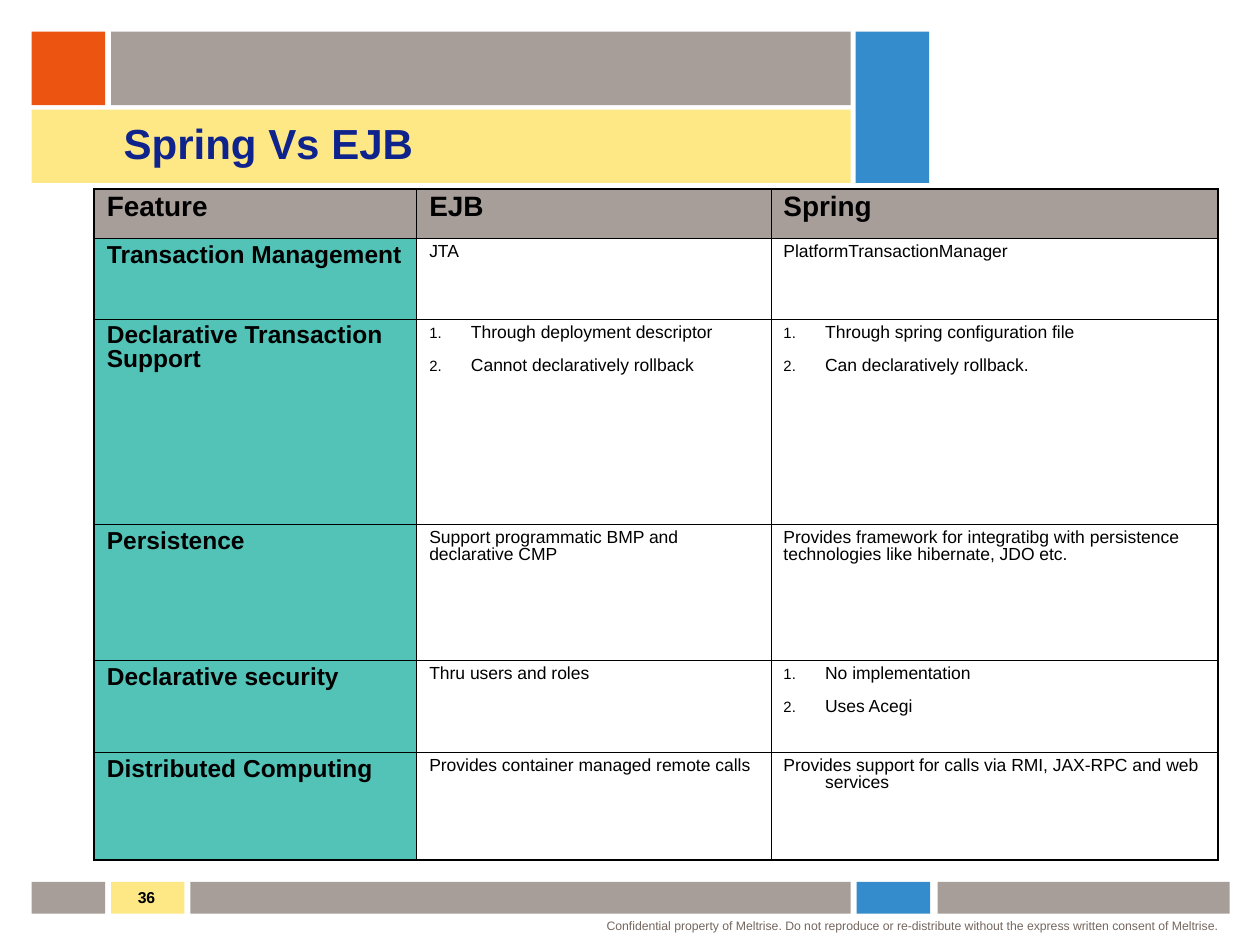
"""Build the Spring Vs EJB comparison slide."""
import pptx
import pptx.dml.color
import pptx.enum.shapes
import pptx.enum.text
import pptx.oxml
import pptx.oxml.ns
import pptx.util
from pptx.util import Cm, Pt


class Theme:
    font = "Arial"
    orange, gray, blue = "EB5411", "A79E99", "348CCC"
    yellow, teal, navy = "FEE886", "53C3B8", "0F238C"
    black, notice = "000000", "74675F"
    title_size, header_size, feature_size, detail_size = 24, 16, 14, 10
    number_size, notice_size = 9, 7
    header_gap, feature_gap, detail_gap = 15, 13.1, 9.4
    line_spacing = 0.85
    outer_line, inner_line = 1.08, 0.45


def format_text(paragraph, size, color, bold=False):
    for run in paragraph.runs:
        run.font.name = Theme.font
        run.font.size = Pt(size)
        run.font.bold = bold
        run.font.color.rgb = pptx.dml.color.RGBColor.from_string(color)


def add_xml(parent, markup):
    namespace = pptx.oxml.ns.nsdecls("a")
    tag, rest = markup[1:].split(" ", 1)
    parent.append(pptx.oxml.parse_xml(f"<{tag} {namespace} {rest}"))


deck = pptx.Presentation()
deck.slide_width, deck.slide_height = Cm(25.4), Cm(19.05)
slide = deck.slides.add_slide(deck.slide_layouts[5])

bands = [
    (0.64, 0.64, 1.48, 1.48, Theme.orange),
    (2.24, 0.64, 14.91, 1.48, Theme.gray),
    (17.25, 0.64, 1.48, 3.05, Theme.blue),
    (0.64, 2.21, 16.51, 1.48, Theme.yellow),
    (0.64, 17.78, 1.48, 0.64, Theme.gray),
    (2.24, 17.78, 1.48, 0.64, Theme.yellow),
    (3.84, 17.78, 13.31, 0.64, Theme.gray),
    (17.27, 17.78, 1.48, 0.64, Theme.blue),
    (18.9, 17.78, 5.89, 0.64, Theme.gray),
]
for left, top, width, height, color in bands:
    band = slide.shapes.add_shape(
        pptx.enum.shapes.MSO_SHAPE.RECTANGLE, Cm(left), Cm(top), Cm(width), Cm(height))
    band.shadow.inherit = False
    band.fill.solid()
    band.fill.fore_color.rgb = pptx.dml.color.RGBColor.from_string(color)
    band.line.fill.background()

notice = slide.shapes.add_textbox(Cm(12.19), Cm(18.52), Cm(12.4), Cm(0.3)).text_frame
notice.margin_left = notice.margin_right = notice.margin_top = notice.margin_bottom = 0
notice.word_wrap = False
notice.text = ("Confidential property of Meltrise. Do not reproduce or re-distribute "
               "without the express written consent of Meltrise.")
notice.paragraphs[0].alignment = pptx.enum.text.PP_ALIGN.CENTER
format_text(notice.paragraphs[0], Theme.notice_size, Theme.notice)

title = slide.shapes.title
title.left, title.top, title.width, title.height = Cm(2.24), Cm(2.26), Cm(14.86), Cm(1.4)
title.text_frame.text = "Spring Vs EJB"
title.text_frame.auto_size = pptx.enum.text.MSO_AUTO_SIZE.NONE
title.text_frame.vertical_anchor = pptx.enum.text.MSO_ANCHOR.MIDDLE
heading = title.text_frame.paragraphs[0]
heading.alignment = pptx.enum.text.PP_ALIGN.LEFT
heading.line_spacing = Theme.line_spacing
format_text(heading, Theme.title_size, Theme.navy, True)
slide.shapes.element.append(title.element)

features = [
    ("Feature", "EJB", "Spring"),
    ("Transaction Management", "JTA", "PlatformTransactionManager"),
    ("Declarative Transaction Support",
     "Through deployment descriptor\nCannot declaratively rollback",
     "Through spring configuration file\nCan declaratively rollback."),
    ("Persistence", "Support programmatic BMP and declarative CMP",
     "Provides framework for integratibg with persistence technologies "
     "like hibernate, JDO etc."),
    ("Declarative security", "Thru users and roles", "No implementation\nUses Acegi"),
    ("Distributed Computing", "Provides container managed remote calls",
     "Provides support for calls via RMI, JAX-RPC and web services"),
]
column_widths = [6.5, 7.14, 9.02]
row_heights = [0.99, 1.63, 4.14, 2.74, 1.85, 2.18]
last_row, last_column = len(row_heights) - 1, len(column_widths) - 1

comparison = slide.shapes.add_table(
    len(row_heights), len(column_widths), Cm(1.9), Cm(3.81),
    Cm(sum(column_widths)), Cm(sum(row_heights))).table
comparison.first_row = comparison.horz_banding = False
for column, width in zip(comparison.columns, column_widths):
    column.width = Cm(width)
for row, height in zip(comparison.rows, row_heights):
    row.height = Cm(height)

for row, entries in enumerate(features):
    for column, entry in enumerate(entries):
        cell = comparison.cell(row, column)
        edges = {"lnL": column == 0, "lnR": column == last_column,
                 "lnT": row == 0, "lnB": row == last_row}
        for edge, outer in edges.items():
            line_width = Pt(Theme.outer_line if outer else Theme.inner_line)
            add_xml(cell._tc.get_or_add_tcPr(),
                    f'<a:{edge} w="{line_width}"><a:solidFill><a:srgbClr '
                    f'val="{Theme.black}"/></a:solidFill></a:{edge}>')

        if row == 0:
            fill, size, gap = Theme.gray, Theme.header_size, Theme.header_gap
        elif column == 0:
            fill, size, gap = Theme.teal, Theme.feature_size, Theme.feature_gap
        else:
            fill, size, gap = None, Theme.detail_size, Theme.detail_gap
        if fill:
            cell.fill.solid()
            cell.fill.fore_color.rgb = pptx.dml.color.RGBColor.from_string(fill)
        else:
            cell.fill.background()

        cell.text_frame.text = entry
        numbered = "\n" in entry
        hanging = numbered or (row, column) == (last_row, last_column)
        for paragraph in cell.text_frame.paragraphs:
            properties = paragraph._p.get_or_add_pPr()
            if hanging:
                properties.set("marL", str(Cm(0.84)))
                properties.set("indent", str(-Cm(0.84)))
            if numbered:
                add_xml(properties, f'<a:buClr ><a:srgbClr val="{Theme.black}"/></a:buClr>')
                add_xml(properties, '<a:buSzPct val="85000"/>')
                add_xml(properties, '<a:buAutoNum type="arabicPeriod"/>')
            paragraph.line_spacing = Theme.line_spacing
            paragraph.space_after = Pt(gap)
            format_text(paragraph, size, Theme.black, fill is not None)

page_number = slide.shapes.add_textbox(Cm(2.49), Cm(17.78), Cm(0.89), Cm(0.61)).text_frame
page_number.word_wrap = True
page_number.text = "36"
page_number.paragraphs[0].alignment = pptx.enum.text.PP_ALIGN.RIGHT
format_text(page_number.paragraphs[0], Theme.number_size, Theme.black, True)

deck.save("out.pptx")
